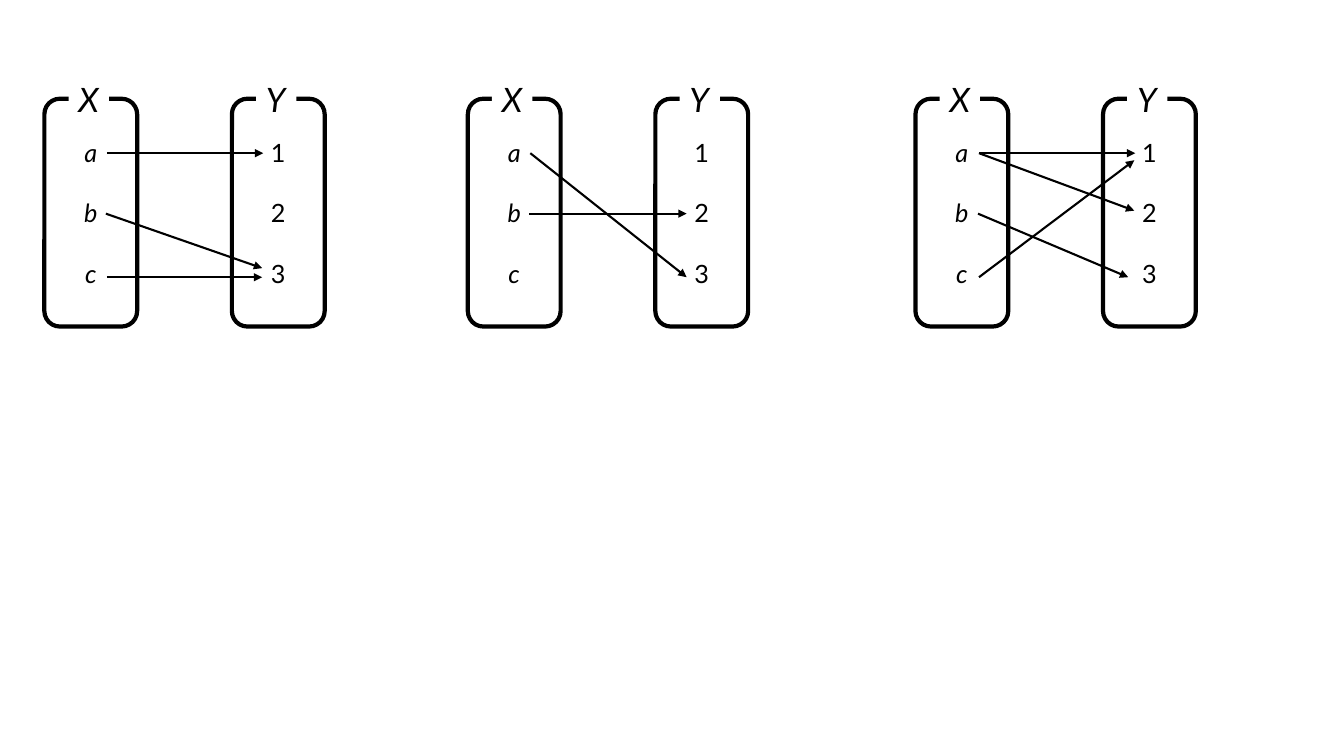
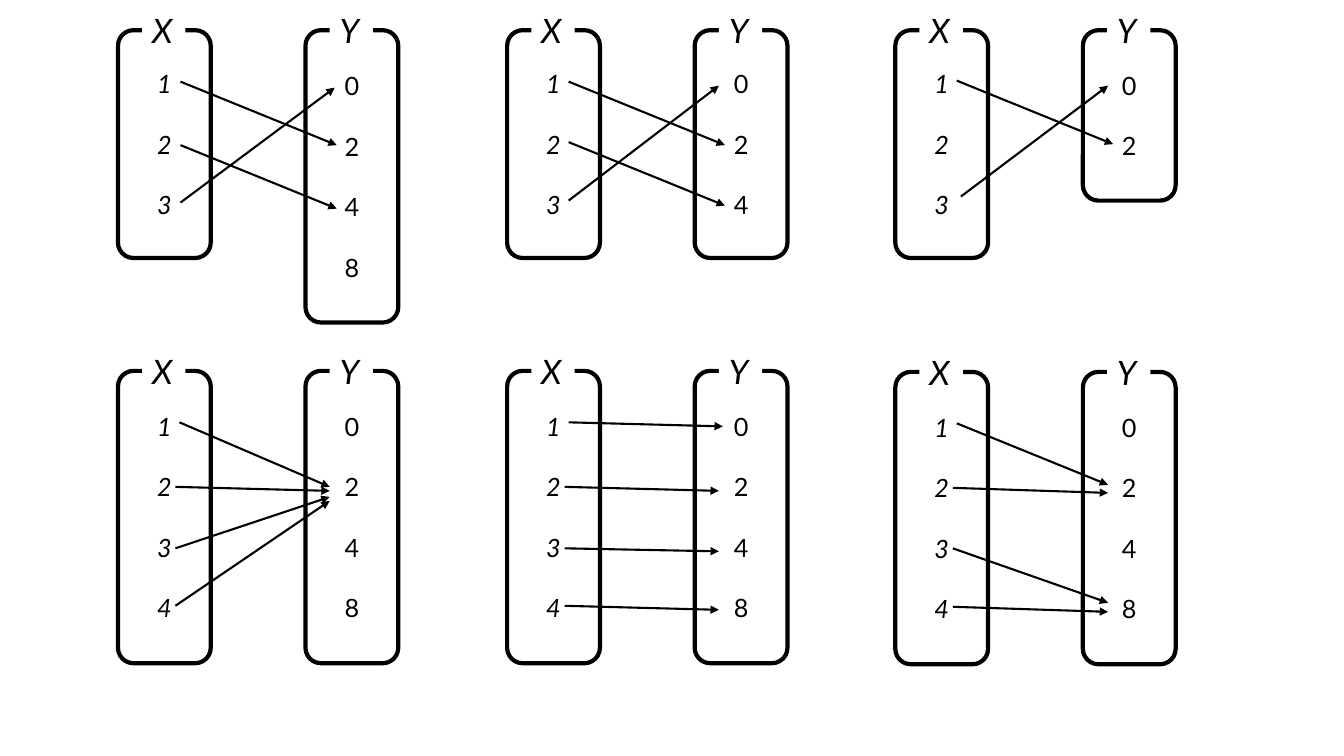
"""Draw mapping diagrams between the sets X and Y on two slides."""
from lxml import etree
from pptx import Presentation
from pptx.dml.color import RGBColor
from pptx.enum.shapes import MSO_CONNECTOR, MSO_SHAPE
from pptx.enum.text import MSO_ANCHOR, PP_ALIGN
from pptx.oxml.ns import qn
from pptx.util import Emu, Pt

PX = 9144
BLACK = RGBColor(0, 0, 0)
WHITE = RGBColor(255, 255, 255)
ROUND, RECT = MSO_SHAPE.ROUNDED_RECTANGLE, MSO_SHAPE.RECTANGLE
LINE = MSO_CONNECTOR.STRAIGHT
CENTER, LEFT = PP_ALIGN.CENTER, PP_ALIGN.LEFT
MIDDLE, TOP = MSO_ANCHOR.MIDDLE, MSO_ANCHOR.TOP

WIDTH, STEP = 92, 186
HEIGHTS = {2: 169, 3: 226, 4: 290}
TAG = {"lift": 25, "height": 50, "inset": 24}
ITEM_GAP = Pt(21.6)

MAPS = [
    (40, [
        (44, 98, "abc", "123", [
            (62, 54, 217, 54), (61, 114, 216, 168), (62, 177, 216, 177)]),
        (464, 98, "abc", "123", [
            (62, 54, 217, 177), (61, 114, 217, 114)]),
        (908, 98, "abc", "123", [
            (63, 54, 218, 54), (62, 114, 211, 177),
            (63, 177, 217, 61), (63, 54, 217, 111)]),
    ]),
    (43, [
        (117, 30, "123", "0248", [
            (62, 51, 217, 114), (62, 114, 217, 177), (62, 171, 215, 57)]),
        (503, 30, "123", "024", [
            (61, 51, 216, 114), (61, 111, 216, 174), (61, 169, 210, 55)]),
        (888, 30, "123", "02", [
            (61, 50, 216, 113), (65, 165, 211, 55)]),
        (117, 368, "1234", "0248", [
            (61, 51, 210, 115), (57, 115, 210, 119),
            (57, 176, 210, 125), (57, 233, 210, 129)]),
        (503, 368, "1234", "0248", [
            (61, 51, 214, 55), (57, 115, 210, 119),
            (57, 176, 210, 179), (57, 233, 210, 237)]),
        (888, 369, "1234", "0248", [
            (61, 51, 211, 112), (57, 115, 211, 120),
            (57, 175, 211, 229), (57, 233, 211, 238)]),
    ]),
]


def px(*sizes):
    return [Emu(size * PX) for size in sizes]


def assign(target, values):
    for name, value in values.items():
        setattr(target, name, value)


class Deck:
    def __init__(self):
        self.file = Presentation()
        self.file.slide_width, self.file.slide_height = px(1333, 750)
        self.font = {"name": "Lato"}
        self.slide = None

    def page(self):
        self.slide = self.file.slides.add_slide(self.file.slide_layouts[6])

    def shape(self, kind, *place):
        shape = self.slide.shapes.add_shape(kind, *px(*place))
        shape.shadow.inherit = False
        return shape

    def label(self, shape, lines, size, italic, align, anchor):
        frame = shape.text_frame
        assign(frame, {"word_wrap": False, "vertical_anchor": anchor})
        frame.text = "\n".join(lines)
        for index, para in enumerate(frame.paragraphs):
            para.alignment = align
            para.space_before = ITEM_GAP if index else Pt(0)
            for run in para.runs:
                assign(run.font, {**self.font, "size": Pt(size), "italic": italic})
                run.font.color.rgb = BLACK

    def group(self, x, y, name, items, italic, tag):
        box = self.shape(ROUND, x, y, WIDTH, HEIGHTS[len(items)])
        box.fill.background()
        box.line.color.rgb = BLACK
        box.line.width = Pt(3)
        self.label(box, items, 18, italic, CENTER, MIDDLE)
        title = self.shape(RECT, x + TAG["inset"], y - TAG["lift"], tag, TAG["height"])
        title.fill.solid()
        title.fill.fore_color.rgb = WHITE
        title.line.fill.background()
        self.label(title, name, 24, True, LEFT, TOP)

    def arrow(self, *ends):
        arrow = self.slide.shapes.add_connector(LINE, *px(*ends))
        arrow.line.color.rgb = BLACK
        arrow.line.width = Pt(1.5)
        props = arrow.line._get_or_add_ln()
        etree.SubElement(props, qn("a:tailEnd"), type="triangle")
        etree.SubElement(props.getparent(), qn("a:effectLst"))

    def mapping(self, x, y, left, right, links, tag):
        self.group(x, y, "X", left, True, tag)
        self.group(x + STEP, y, "Y", right, False, tag)
        for x1, y1, x2, y2 in links:
            self.arrow(x + x1, y + y1, x + x2, y + y2)


def main():
    deck = Deck()
    for tag, maps in MAPS:
        deck.page()
        for entry in maps:
            deck.mapping(*entry, tag)
    deck.file.save("out.pptx")


if __name__ == "__main__":
    main()
